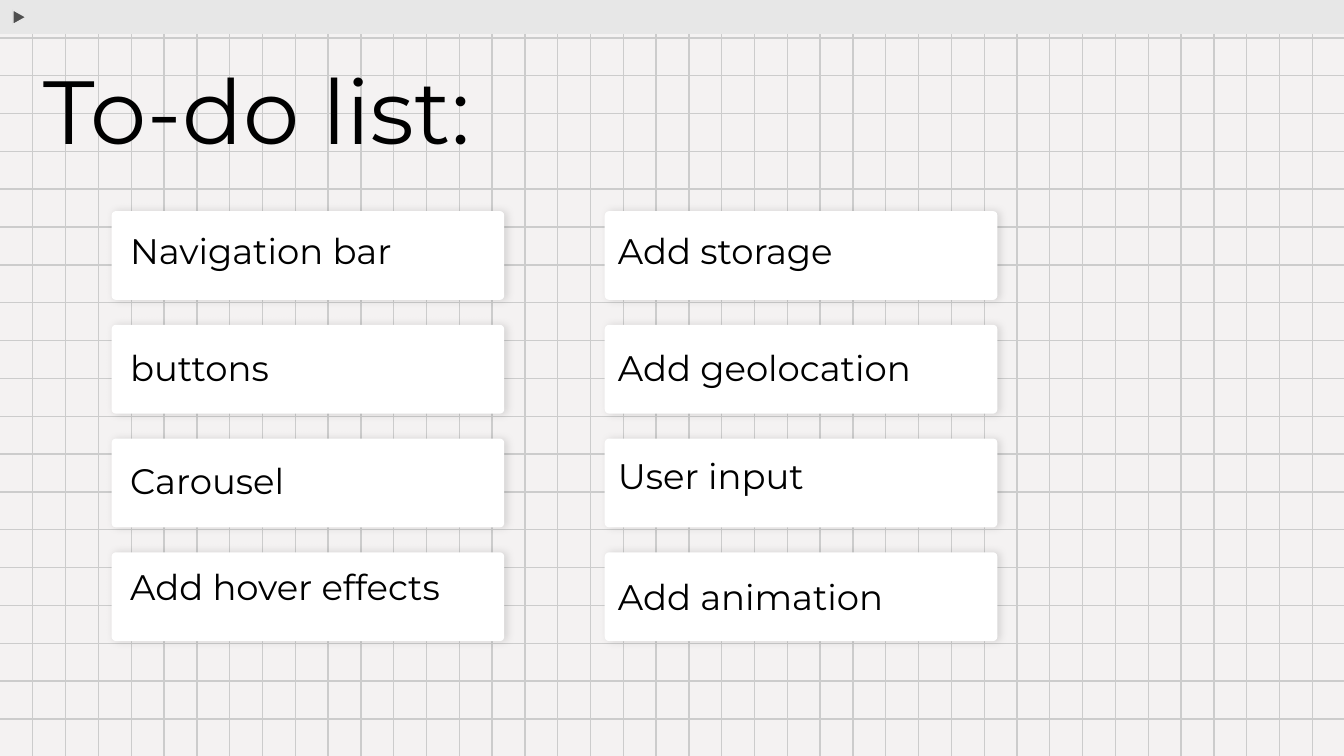
"""Build a to-do list slide with white cards on squared paper."""
from lxml import etree
from pptx import Presentation
from pptx.dml.color import RGBColor
from pptx.enum.shapes import MSO_CONNECTOR, MSO_SHAPE
from pptx.enum.text import MSO_ANCHOR, PP_ALIGN
from pptx.oxml import parse_xml
from pptx.oxml.ns import qn
from pptx.util import Cm, Pt

STRAIGHT = MSO_CONNECTOR.STRAIGHT
RECTANGLE = MSO_SHAPE.RECTANGLE
ROUNDED = MSO_SHAPE.ROUNDED_RECTANGLE
TRIANGLE = MSO_SHAPE.ISOSCELES_TRIANGLE
TOP = MSO_ANCHOR.TOP
LEFT = PP_ALIGN.LEFT

PAPER = RGBColor(0xF4, 0xF2, 0xF2)
GRID = RGBColor(0xCC, 0xCC, 0xCC)
BAR = RGBColor(0xE7, 0xE7, 0xE7)
ARROW = RGBColor(0x4F, 0x4F, 0x4F)
WHITE = RGBColor(0xFF, 0xFF, 0xFF)
BLACK = RGBColor(0x00, 0x00, 0x00)

WIDTH, HEIGHT = 25.4, 14.29
GRID_ROWS, GRID_BOTTOM = 19, 13.59
GRID_COLUMNS, GRID_RIGHT = 40, 24.8
CARD_TOP, CARD_PITCH = 3.99, 2.15
CARD_WIDTH, CARD_HEIGHT = 7.42, 1.68
LABEL_HEIGHT = 1.32

FRAME_FORMAT = {
    "word_wrap": True,
    "vertical_anchor": TOP,
    "margin_left": Cm(0.25),
    "margin_right": Cm(0.25),
    "margin_top": Cm(0.25),
    "margin_bottom": Cm(0.25),
}
COLUMNS = [
    {
        "card_left": 2.11,
        "label_left": 2.21,
        "label_width": 7.06,
        "tasks": [("Navigation bar", 4.09), ("buttons", 6.3),
                  ("Carousel", 8.43), ("Add hover effects", 10.44)],
    },
    {
        "card_left": 11.43,
        "label_left": 11.43,
        "label_width": 6.27,
        "tasks": [("Add storage", 4.09), ("Add geolocation", 6.3),
                  ("User input", 8.33), ("Add animation", 10.62)],
    },
]
CARD_SHADOW = (
    '<a:outerShdw xmlns:a="http://schemas.openxmlformats.org/drawingml/2006/main"'
    ' blurRad="57150" dist="19050" dir="0" algn="bl" rotWithShape="0">'
    '<a:srgbClr val="000000"><a:alpha val="12000"/></a:srgbClr></a:outerShdw>'
)


def add_block(page, kind, place, color):
    block = page.shapes.add_shape(kind, *map(Cm, place))
    block.shadow.inherit = False
    block.fill.solid()
    block.fill.fore_color.rgb = color
    block.line.fill.background()
    return block


def write(box, text, size):
    frame = box.text_frame
    for name, value in FRAME_FORMAT.items():
        setattr(frame, name, value)
    para = frame.paragraphs[0]
    para.alignment = LEFT
    span = para.add_run()
    span.text = text
    span.font.color.rgb = BLACK
    for name, value in {"name": "Montserrat", "size": Pt(size)}.items():
        setattr(span.font, name, value)
    return para


deck = Presentation()
deck.slide_width, deck.slide_height = Cm(WIDTH), Cm(HEIGHT)
page = deck.slides.add_slide(deck.slide_layouts[5])
page.background.fill.solid()
page.background.fill.fore_color.rgb = PAPER

grid_lines = []
for row in range(1, GRID_ROWS + 1):
    y = GRID_BOTTOM * row / GRID_ROWS
    grid_lines.append((0, y, WIDTH, y))
for column in range(1, GRID_COLUMNS + 1):
    x = GRID_RIGHT * column / GRID_COLUMNS
    grid_lines.append((x, 0, x, HEIGHT))
for ends in grid_lines:
    grid_line = page.shapes.add_connector(STRAIGHT, *map(Cm, ends))
    grid_line.line.color.rgb = GRID
    grid_line.line.width = Pt(0.75)
    etree.SubElement(grid_line._element.spPr, qn("a:effectLst"))

add_block(page, RECTANGLE, (0, 0, WIDTH, 0.64), BAR)
arrow = add_block(page, TRIANGLE, (0.23, 0.2, 0.28, 0.25), ARROW)
arrow.rotation = 90
arrow.line.color.rgb = BAR
arrow.line.width = Pt(0.75)

title = page.shapes.title
title.left, title.top, title.width, title.height = map(Cm, (0.58, 1.02, 13.94, 2.36))
title_para = write(title, "To-do list:", 48)
title_para.line_spacing = 0.9
page.shapes._spTree.append(title._element)

for column in COLUMNS:
    for row, (task, label_top) in enumerate(column["tasks"]):
        card_top = CARD_TOP + CARD_PITCH * row
        card_place = (column["card_left"], card_top, CARD_WIDTH, CARD_HEIGHT)
        card = add_block(page, ROUNDED, card_place, WHITE)
        card.adjustments[0] = 0.05
        effects = card._element.spPr.find(qn("a:effectLst"))
        effects.append(parse_xml(CARD_SHADOW))
        label_place = (column["label_left"], label_top, column["label_width"], LABEL_HEIGHT)
        label = page.shapes.add_textbox(*map(Cm, label_place))
        write(label, task, 19)

deck.save("out.pptx")
